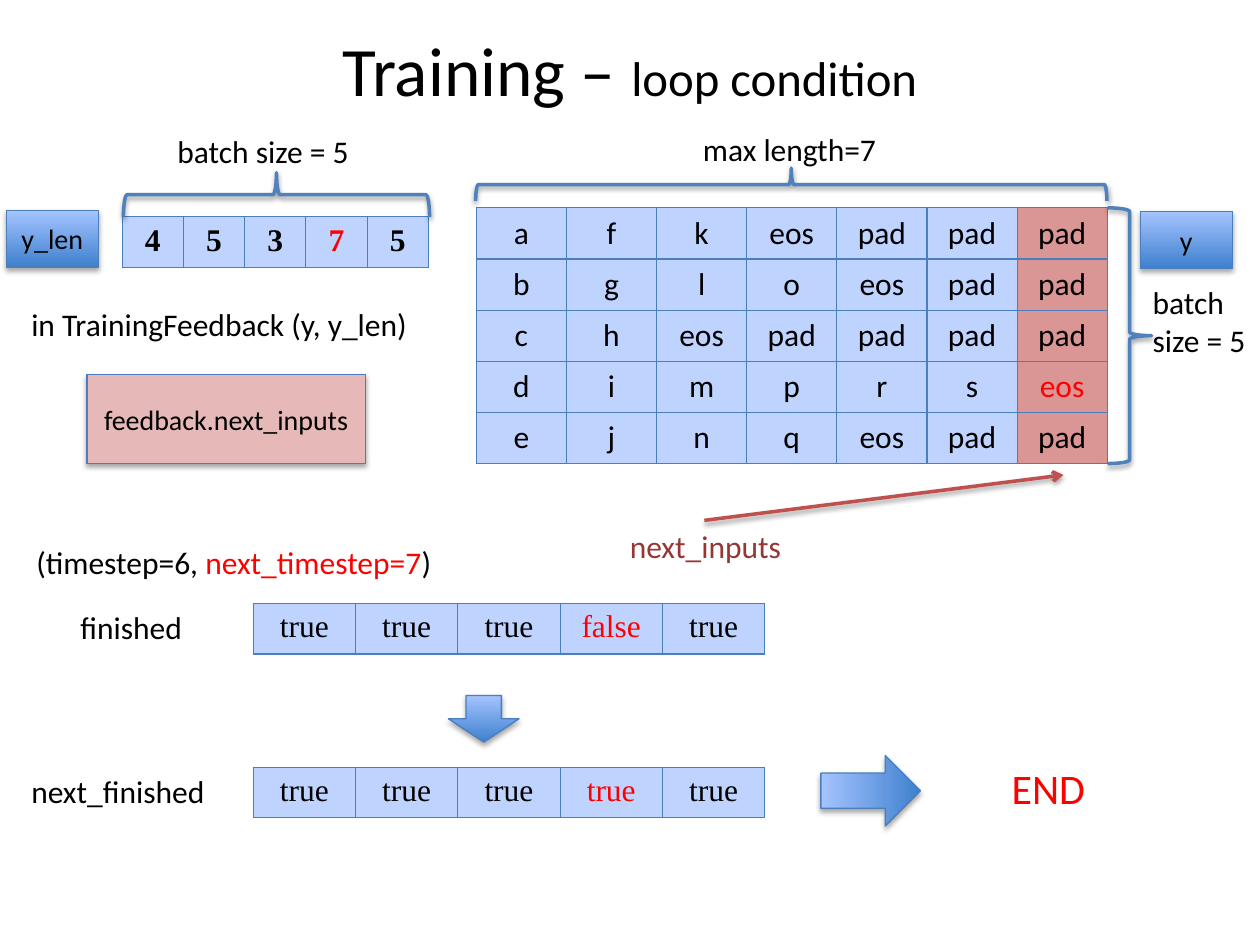
from dataclasses import dataclass

from lxml.etree import SubElement
from pptx import Presentation
from pptx.dml.color import RGBColor
from pptx.enum.shapes import MSO_CONNECTOR as Connector, MSO_SHAPE as Shape
from pptx.enum.text import MSO_ANCHOR as Anchor, PP_ALIGN as Align
from pptx.oxml.ns import qn
from pptx.util import Inches, Pt


@dataclass(frozen=True)
class Theme:
    """Colours, fonts and type sizes of the slide."""
    black: str = "000000"
    red: str = "FF0000"
    dark_red: str = "953735"
    arrow_red: str = "C0504D"
    pink: str = "E6B9B8"
    column: str = "D99694"
    cell: str = "BFD3FF"
    deep_blue: str = "3F80CE"
    pale_blue: str = "A4C4FF"
    border: str = "4B7EBC"
    brace: str = "4F81BD"
    sans: str = "Calibri"
    serif: str = "Times New Roman"
    title: float = 39.6
    subtitle: float = 27.9
    end: float = 24
    body: float = 18
    box: float = 16
    thin: float = 0.75
    thick: float = 2


T = Theme()

TITLE = [("Training – ", T.title, T.black), ("loop condition", T.subtitle, T.black)]

# place (left, top, width, height), paragraphs of (text, size, colour) runs
LABELS = [
    ((0.19, 4.26, 3.58, 0.4), [[("(timestep=6, ", T.body, T.black),
                                ("next_timestep=7", T.body, T.red),
                                (")", T.body, T.black)]]),
    ((0.15, 2.37, 3.26, 0.4), [[("in TrainingFeedback (y, y_len)", T.body, T.black)]]),
    ((1.31, 1, 1.71, 0.4), [[("batch size = 5", T.body, T.black)]]),
    ((5.48, 0.98, 1.71, 0.4), [[("max length=7", T.body, T.black)]]),
    ((9.05, 2.2, 1.16, 0.71), [[("batch ", T.body, T.black)],
                               [("size = 5", T.body, T.black)]]),
    ((0.54, 4.78, 1.21, 0.4), [[("finished", T.body, T.black)]]),
    ((0.15, 6.08, 1.61, 0.4), [[("next_finished", T.body, T.black)]]),
    ((4.9, 4.13, 2.25, 0.4), [[("next_inputs", T.body, T.dark_red)]]),
    ((7.93, 6, 1.21, 0.5), [[("END", T.end, T.red)]]),
]

# place, rows, red cell (row, column), font, bold, shaded column
TABLES = [
    ((0.97, 1.72, 2.43, 0.4), ["4 5 3 7 5"], (0, 3), T.serif, True, None),
    ((2.01, 4.79, 4.06, 0.4), ["true true true false true"], (0, 3), T.serif, False, None),
    ((2.01, 6.09, 4.06, 0.4), ["true true true true true"], (0, 3), T.serif, False, None),
    ((3.78, 1.65, 5.01, 2.03), ["a f k eos pad pad pad",
                                "b g l o eos pad pad",
                                "c h eos pad pad pad pad",
                                "d i m p r s eos",
                                "e j n q eos pad pad"], (3, 6), T.sans, False, 6),
]

# preset, place, rotation, text, plain fill (None for the blue gradient)
BLOCKS = [
    (Shape.RECTANGLE, (0.69, 2.97, 2.21, 0.71), 0, "feedback.next_inputs", T.pink),
    (Shape.RECTANGLE, (0.05, 1.67, 0.73, 0.45), 0, "y_len", None),
    (Shape.RECTANGLE, (9.05, 1.68, 0.73, 0.45), 0, "y", None),
    (Shape.DOWN_ARROW, (3.56, 5.52, 0.56, 0.37), 0, "", None),
    (Shape.DOWN_ARROW, (6.63, 5.88, 0.56, 0.79), 270, "", None),
]

BRACES = [  # place, rotation
    ((2.02, 0.33, 0.35, 2.43), 270),
    ((6.15, -1.04, 0.26, 5.01), 270),
    ((8.79, 1.65, 0.35, 2.03), 0),
]

POINTER = (5.59, 4.13, 8.44, 3.77)


def inches(values):
    """Turn a row of numbers into lengths."""
    return [Inches(value) for value in values]


def rgb(colour):
    """Turn a hex string into a colour."""
    return RGBColor.from_string(colour)


def write(paragraph, runs, font=T.sans, bold=False, align=None):
    """Fill a paragraph with (text, size, colour) runs."""
    paragraph.alignment = align
    for text, size, colour in runs:
        run = paragraph.add_run()
        run.text = text
        run.font.name, run.font.size, run.font.bold = font, Pt(size), bold
        run.font.color.rgb = rgb(colour)


def outline(line, colour, width):
    """Give a line its colour and width."""
    line.color.rgb = rgb(colour)
    line.width = Pt(width)


def cast_shadow(item, distance, alpha):
    """Add a soft shadow straight below a shape or connector."""
    effects = SubElement(item._element.spPr, qn("a:effectLst"))
    shadow = SubElement(effects, qn("a:outerShdw"), blurRad=str(Pt(3.1)),
                        dist=str(Pt(distance)), dir="5400000", rotWithShape="0")
    colour = SubElement(shadow, qn("a:srgbClr"), val=T.black)
    SubElement(colour, qn("a:alpha"), val=str(alpha * 1000))


def add_label(slide, place, paragraphs, align=None, anchor=Anchor.TOP):
    """Add a text box with one paragraph per list of runs."""
    frame = slide.shapes.add_textbox(*inches(place)).text_frame
    frame.word_wrap = True
    frame.vertical_anchor = anchor
    for number, runs in enumerate(paragraphs):
        paragraph = frame.add_paragraph() if number else frame.paragraphs[0]
        write(paragraph, runs, align=align)


def add_block(slide, preset, place, rotation, text, plain):
    """Add a filled, shadowed box or block arrow."""
    block = slide.shapes.add_shape(preset, *inches(place))
    block.rotation = rotation
    if plain:
        block.fill.solid()
        block.fill.fore_color.rgb = rgb(plain)
    else:
        block.fill.gradient()
        block.fill.gradient_angle = 90
        for stop, colour in zip(block.fill.gradient_stops, (T.deep_blue, T.pale_blue)):
            stop.color.rgb = rgb(colour)
    outline(block.line, T.border, T.thin)
    cast_shadow(block, 1.8, 35)
    if text:
        block.text_frame.word_wrap = False
        block.text_frame.vertical_anchor = Anchor.MIDDLE
        write(block.text_frame.paragraphs[0], [(text, T.box, T.black)], align=Align.CENTER)


def add_brace(slide, place, rotation):
    """Add a curly brace."""
    brace = slide.shapes.add_shape(Shape.RIGHT_BRACE, *inches(place))
    brace.rotation = rotation
    brace.fill.background()
    outline(brace.line, T.brace, T.thick)
    cast_shadow(brace, 1.6, 38)


def frame_cell(cell):
    """Draw the four borders of a cell."""
    properties = cell._tc.get_or_add_tcPr()
    for side in ("lnL", "lnR", "lnT", "lnB"):
        border = SubElement(properties, qn(f"a:{side}"), w=str(Pt(T.thin)))
        SubElement(SubElement(border, qn("a:solidFill")), qn("a:srgbClr"), val=T.border)


def add_grid(slide, place, rows, red_cell, font, bold, shaded):
    """Add a table of equal cells with one red entry."""
    rows = [row.split() for row in rows]
    grid = slide.shapes.add_table(len(rows), len(rows[0]), *inches(place)).table
    grid.first_row = grid.horz_banding = False
    for r, row in enumerate(rows):
        for c, value in enumerate(row):
            cell = grid.cell(r, c)
            frame_cell(cell)
            cell.fill.solid()
            cell.fill.fore_color.rgb = rgb(T.column if c == shaded else T.cell)
            colour = T.red if (r, c) == red_cell else T.black
            write(cell.text_frame.paragraphs[0], [(value, T.body, colour)],
                  font, bold, Align.CENTER)


def add_pointer(slide, ends):
    """Add the arrow from next_inputs to its column."""
    pointer = slide.shapes.add_connector(Connector.STRAIGHT, *inches(ends))
    outline(pointer.line, T.arrow_red, T.thick)
    SubElement(pointer.line._get_or_add_ln(), qn("a:tailEnd"), type="arrow")
    cast_shadow(pointer, 1.6, 38)


deck = Presentation()
deck.slide_width, deck.slide_height = inches((10, 7.5))
slide = deck.slides.add_slide(deck.slide_layouts[6])
add_label(slide, (0.5, 0.3, 9, 0.5), [TITLE], Align.CENTER, Anchor.MIDDLE)
for add, items in ((add_grid, TABLES), (add_block, BLOCKS),
                   (add_brace, BRACES), (add_label, LABELS)):
    for item in items:
        add(slide, *item)
add_pointer(slide, POINTER)
deck.save("out.pptx")
